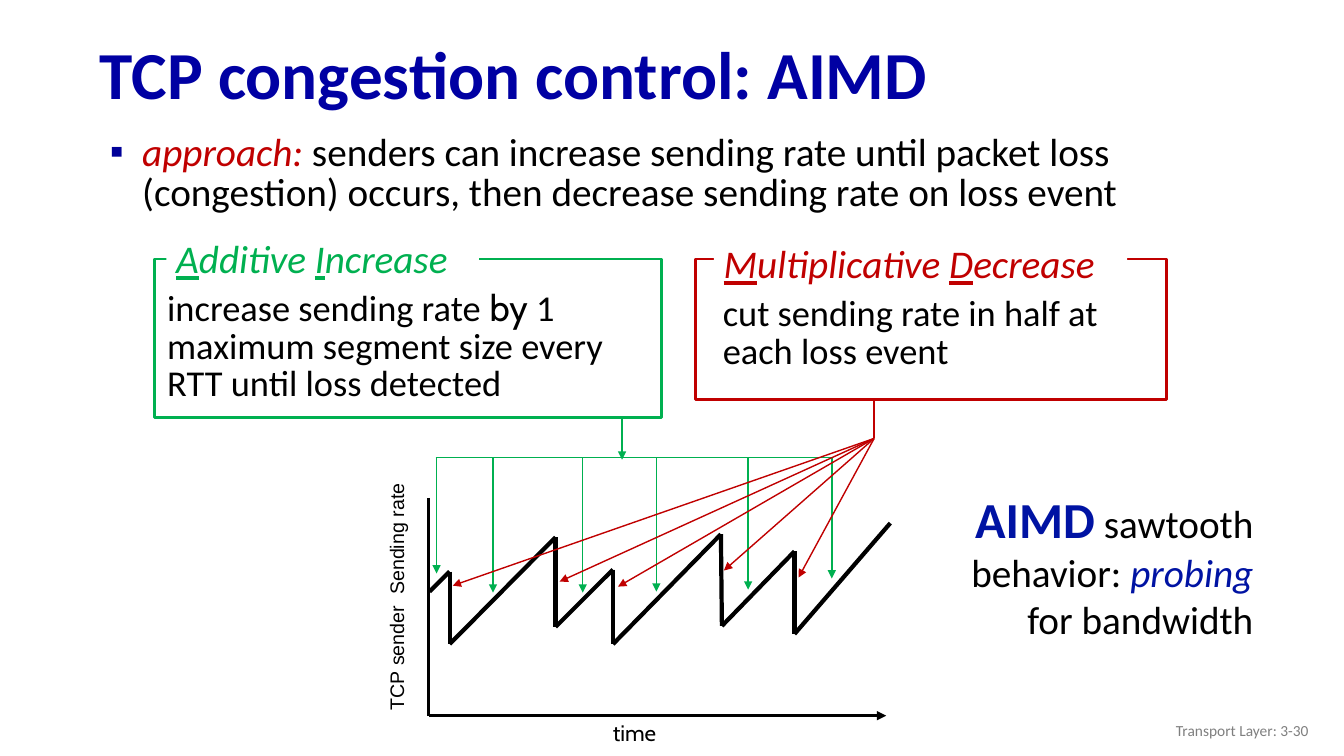
from dataclasses import dataclass
from itertools import pairwise

from lxml import etree
from pptx import Presentation
from pptx.dml.color import RGBColor
from pptx.enum import shapes, text
from pptx.oxml import ns
from pptx.util import Inches, Pt


@dataclass(frozen=True)
class Theme:
    title_blue: str = "0000A3"
    accent_blue: str = "0013A3"
    bullet_blue: str = "000099"
    green: str = "00B050"
    red: str = "C00000"
    black: str = "000000"
    grey: str = "7F7F7F"
    white: str = "FFFFFF"
    font: str = "Calibri"
    axis_font: str = "Arial"
    alt_font: str = "Cabin"
    title: int = 48
    strong: int = 36
    body: int = 28
    detail: int = 26
    time: int = 16
    axis: int = 14
    footer: int = 11


THEME = Theme()


def subelement(parent, tag, **attributes):
    return etree.SubElement(parent, ns.qn(tag), attributes)


class SlideBuilder:
    def __init__(self, slide, theme):
        self.slide = slide
        self.theme = theme

    def place(self, shape, at):
        shape.left, shape.top, shape.width, shape.height = map(Inches, at)
        return shape

    def set_text(self, shape, paragraphs, size, color=None, font=None,
                 align=text.PP_ALIGN.LEFT, anchor=text.MSO_ANCHOR.TOP,
                 wrap=True, grow=False, spacing=None, before=0):
        """Fill a shape with paragraphs, each a list of (words, style overrides)."""
        frame = shape.text_frame
        frame.word_wrap = wrap
        frame.vertical_anchor = anchor
        sizes = text.MSO_AUTO_SIZE
        frame.auto_size = sizes.SHAPE_TO_FIT_TEXT if grow else sizes.NONE
        for index, pieces in enumerate(paragraphs):
            paragraph = frame.add_paragraph() if index else frame.paragraphs[0]
            paragraph.alignment = align
            paragraph.space_before = Pt(before)
            if spacing:
                paragraph.line_spacing = spacing
            for words, style in pieces:
                run = paragraph.add_run()
                run.text = words
                run.font.size = Pt(style.get("size", size))
                run.font.name = style.get("font", font or self.theme.font)
                run.font.bold = style.get("bold", False)
                run.font.italic = style.get("italic", False)
                run.font.underline = style.get("underline", False)
                run.font.color.rgb = RGBColor.from_string(
                    style.get("color", color or self.theme.black))
        return shape

    def title(self, words, at):
        shape = self.place(self.slide.shapes.title, at)
        self.set_text(shape, [[(words, {"bold": True})]], self.theme.title,
                      self.theme.title_blue, anchor=text.MSO_ANCHOR.MIDDLE, spacing=0.9)

    def bullet(self, pieces, at):
        shape = self.place(self.slide.placeholders[1], at)
        self.set_text(shape, [pieces], self.theme.body, spacing=0.85, before=5.6)
        properties = self.indent(shape, 0.32, -0.32)
        color = subelement(properties, "a:buClr")
        subelement(color, "a:srgbClr", val=self.theme.bullet_blue)
        subelement(properties, "a:buFont", typeface=self.theme.axis_font)
        subelement(properties, "a:buChar", char="▪")

    def indent(self, shape, left, first=0):
        properties = shape.text_frame.paragraphs[0]._p.get_or_add_pPr()
        properties.set("marL", str(Inches(left)))
        properties.set("indent", str(Inches(first)))
        return properties

    def label(self, paragraphs, at, size, **style):
        return self.set_text(self.slide.shapes.add_textbox(*map(Inches, at)),
                             paragraphs, size, **style)

    def box(self, at, outline=None):
        shape = self.slide.shapes.add_shape(shapes.MSO_SHAPE.RECTANGLE, *map(Inches, at))
        shape.shadow.inherit = False
        shape.fill.solid()
        shape.fill.fore_color.rgb = RGBColor.from_string(self.theme.white)
        if outline:
            shape.line.color.rgb = RGBColor.from_string(outline)
            shape.line.width = Pt(2)
        else:
            shape.line.fill.background()
        return shape

    def line(self, start, end, color, width=1, arrow=False):
        connector = self.slide.shapes.add_connector(
            shapes.MSO_CONNECTOR.STRAIGHT, *map(Inches, (*start, *end)))
        connector.line.color.rgb = RGBColor.from_string(color)
        connector.line.width = Pt(width)
        properties = connector._element.spPr
        if arrow:
            subelement(properties.get_or_add_ln(), "a:tailEnd", type="triangle")
        subelement(properties, "a:effectLst")

    def captioned_box(self, at, color, caption, caption_at, detail, detail_at):
        """Draw an outlined box whose caption, with underlined capitals, breaks the top edge."""
        self.box(at, color)
        body = self.label([detail], detail_at, self.theme.detail, spacing=0.85, before=5.2)
        self.indent(body, 0.5)
        pieces = []
        for word in caption:
            pieces += [(word[0], {"italic": True, "underline": True}),
                       (word[1:], {"italic": True})]
        self.set_text(self.box(caption_at), [pieces], self.theme.body, color,
                      spacing=0.85, before=5.6)


def draw_sawtooth(builder):
    theme = builder.theme
    rate = [(4.26, 5.87), (4.46, 5.67), (4.46, 6.39), (5.51, 5.33), (5.51, 6.22), (6.08, 5.65),
            (6.08, 6.39), (7.15, 5.3), (7.16, 6.21), (7.88, 5.47), (7.88, 6.29), (8.83, 5.19)]
    for start, end in pairwise(rate):
        builder.line(start, end, theme.black, 3)

    axis_title = builder.box((2.69, 5.73, 2.49, 0.34))
    axis_title.rotation = 270
    builder.set_text(axis_title, [[("TCP sender  Sending rate", {})]], theme.axis,
                     font=theme.axis_font, grow=True)
    origin = (4.25, 7.1)
    builder.line(origin, (8.79, 7.1), theme.black, 2.25, arrow=True)
    builder.line((4.25, 4.94), origin, theme.black, 2.25)
    builder.label([[("time", {})]], (5.98, 7.09, 0.63, 0.37), theme.time,
                  font=theme.alt_font, wrap=False, grow=True)


def draw_phases(builder):
    theme = builder.theme
    builder.captioned_box(
        (1.53, 2.57, 5.03, 1.57), theme.green,
        ("Additive ", "Increase"), (1.65, 2.35, 3.1, 0.49),
        [("increase sending rate ", {}), ("by ", {"font": theme.alt_font}),
         ("1 maximum segment size every RTT until loss detected", {})],
        (1.06, 2.85, 5.53, 1.58))
    builder.captioned_box(
        (6.9, 2.57, 4.67, 1.39), theme.red,
        ("Multiplicative ", "Decrease"), (7.08, 2.4, 4.1, 0.49),
        [("cut sending rate in half at each loss event", {})], (6.57, 2.9, 5.19, 0.9))

    rail = 4.54
    for x, tip in ((4.33, 5.69), (4.89, 5.88), (5.78, 5.88),
                   (6.51, 5.87), (7.42, 5.85), (8.25, 5.74)):
        builder.line((x, rail), (x, tip), theme.green, arrow=True)
    builder.line((4.32, rail), (8.26, rail), theme.green)
    builder.line((6.17, 4.14), (6.17, 4.56), theme.green, arrow=True)

    hub = (8.67, 4.35)
    for loss in ((7.92, 5.73), (4.49, 5.81), (5.55, 5.77), (6.13, 5.82), (7.18, 5.66)):
        builder.line(hub, loss, theme.red, arrow=True)
    builder.line(hub, (8.67, 3.96), theme.red)


def main():
    deck = Presentation()
    deck.slide_width, deck.slide_height = Inches(13.33), Inches(7.5)
    builder = SlideBuilder(deck.slides.add_slide(deck.slide_layouts[1]), THEME)

    builder.title("TCP congestion control: AIMD", (0.89, 0.28, 12.46, 0.98))
    builder.bullet(
        [("approach: ", {"italic": True, "color": THEME.red}),
         ("senders can increase sending rate until packet loss (congestion) occurs, "
          "then decrease sending rate on loss event", {})],
        (0.99, 1.28, 11.24, 1.58))
    builder.label(
        [[("AIMD", {"bold": True, "size": THEME.strong, "color": THEME.accent_blue}),
          (" sawtooth", {})],
         [("behavior: ", {}), ("probing", {"italic": True, "color": THEME.accent_blue})],
         [("for bandwidth", {})]],
        (9.5, 4.79, 3.03, 1.65), THEME.body,
        align=text.PP_ALIGN.RIGHT, wrap=False, grow=True)
    draw_sawtooth(builder)
    draw_phases(builder)
    builder.label([[("Transport Layer: 3-30", {})]], (10.08, 7.05, 3, 0.4), THEME.footer,
                  color=THEME.grey, align=text.PP_ALIGN.RIGHT, anchor=text.MSO_ANCHOR.MIDDLE)
    deck.save("out.pptx")


if __name__ == "__main__":
    main()
